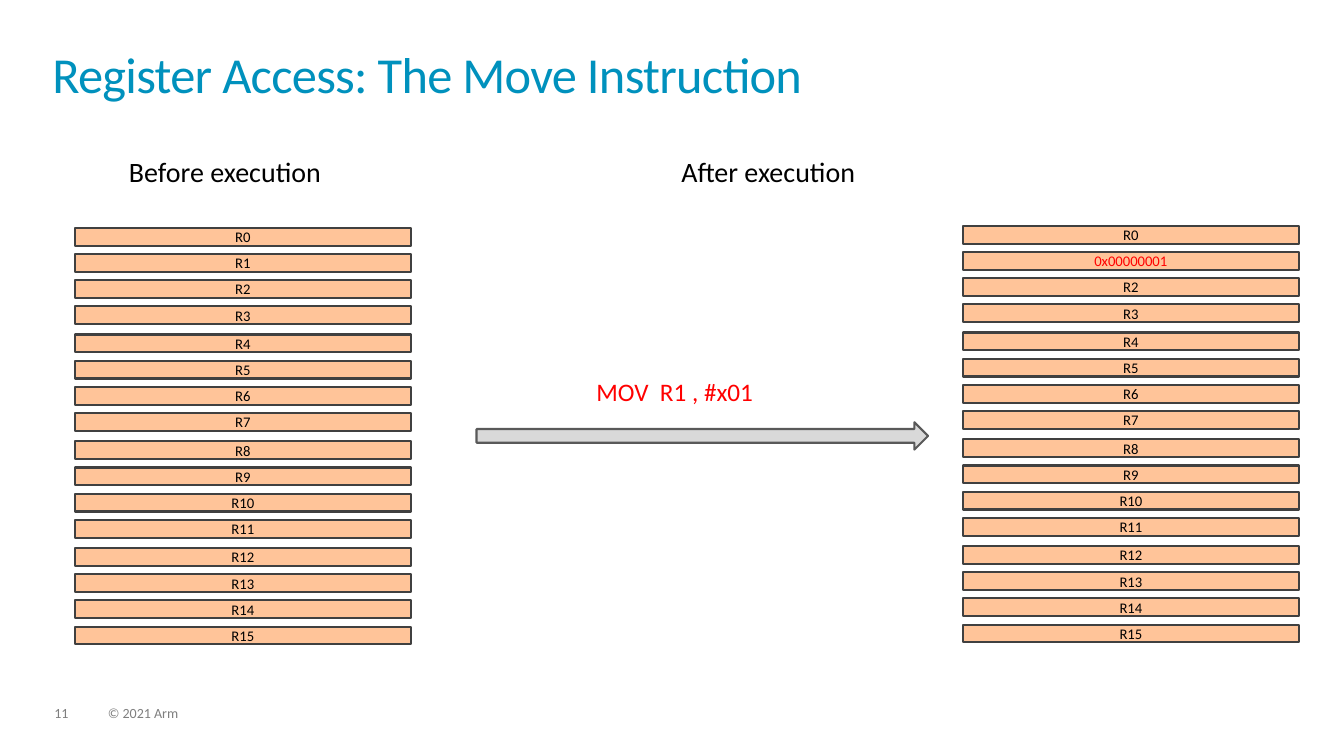
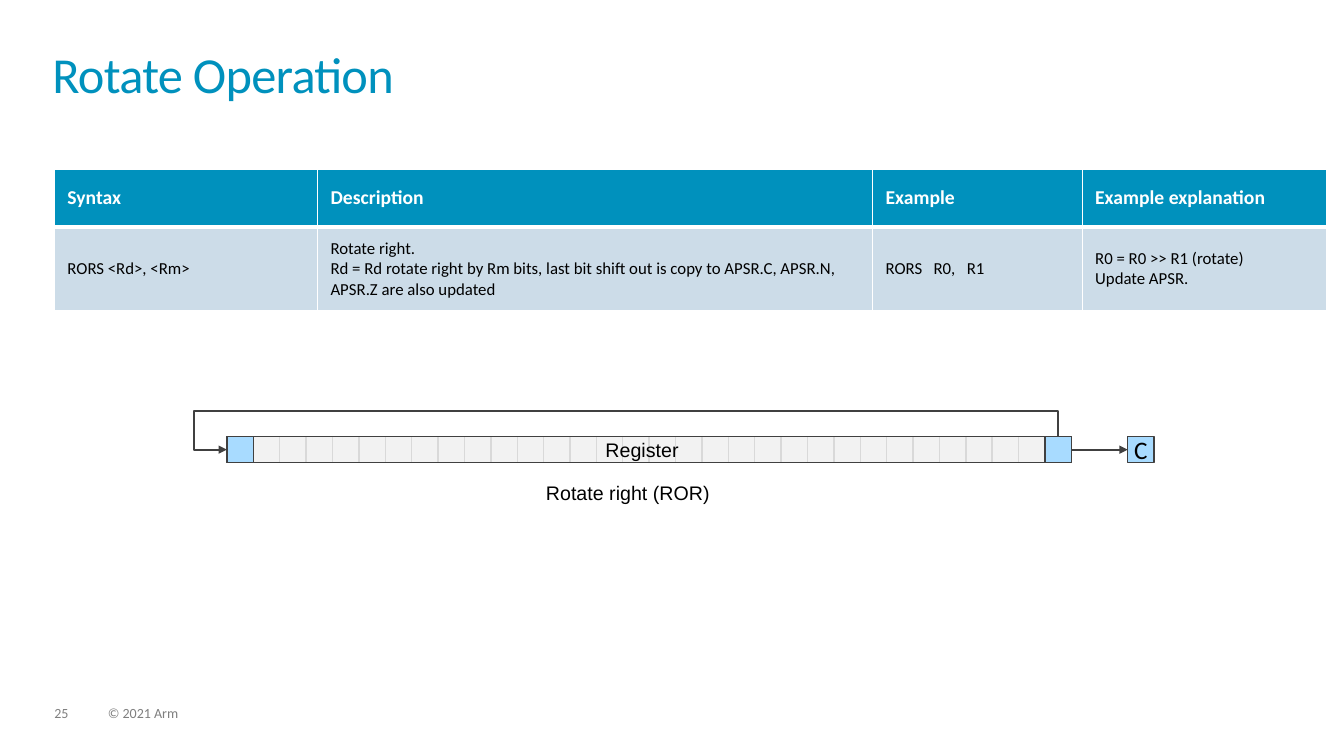
from copy import deepcopy

from lxml.etree import SubElement
from pptx import Presentation
from pptx.dml.color import RGBColor
from pptx.enum.shapes import MSO_CONNECTOR as CONNECTOR, MSO_SHAPE as SHAPE
from pptx.enum.shapes import PP_PLACEHOLDER as PH
from pptx.enum.text import MSO_ANCHOR as ANCHOR, MSO_AUTO_SIZE as AUTO, PP_ALIGN as ALIGN
from pptx.oxml import parse_xml
from pptx.oxml.ns import nsdecls, qn
from pptx.util import Cm, Pt

TEAL, BLACK, WHITE, RED = "0091BD", "000000", "FFFFFF", "FF0000"
DARK, FOOTER_GREY, CELL_LINE, CELL_FILL = "404040", "7F7F7F", "D9D9D9", "F2F2F2"
ORANGE, BLUE, ROW_FILL, ARROW_LINE = "FFC499", "A8DBFF", "CCDCE8", "595959"

COPYRIGHT = "© 2021 Arm"
FOOTERS = {PH.SLIDE_NUMBER: (1.37, 17.81, 0.86, 0.38), PH.FOOTER: (2.72, 17.81, 12.88, 0.38)}
TITLE_BOX = (1.32, 1.32, 31.19, 1.83)

MOVE_TITLE = "Register Access: The Move Instruction"
REGISTERS = [f"R{n}" for n in range(16)]
CHANGED = {1: "0x00000001"}
# heading, heading left, bank left, bank top, changed registers
BANKS = [
    ("Before execution", 3.0, 1.88, 5.74, {}),
    ("After execution", 16.92, 24.26, 5.69, CHANGED),
]
BANK_WIDTH, REGISTER_HEIGHT = 8.48, 0.45
REGISTER_PITCH, GROUP_PITCH, GROUP_SIZE = 0.66, 2.69, 4

ROTATE_TITLE = "Rotate Operation"
TABLE = [
    ["Syntax", "Description", "Example", "Example explanation"],
    [
        "RORS <Rd>, <Rm>",
        "Rotate right.\nRd = Rd rotate right by Rm bits, last bit shift out is copy to "
        "APSR.C, APSR.N, APSR.Z are also updated",
        "RORS   R0,   R1",
        "R0 = R0 >> R1 (rotate)\nUpdate APSR.",
    ],
]
COLUMN_WIDTHS, ROW_HEIGHTS = [6.63, 13.99, 5.28, 6.17], [1.45, 2.11]
BITS, BIT_LEFT, BIT_TOP, REGISTER_WIDTH, BIT_HEIGHT = 32, 5.72, 11.0, 21.28, 0.66
CARRY_LEFT, LOOP_RISE, LOOP_OUT = 28.42, 0.64, 0.84


def rgb(color):
    return RGBColor.from_string(color)


def place(shape, box):
    shape.left, shape.top, shape.width, shape.height = map(Cm, box)


def write(tf, text, size, color, font="Calibri", align=ALIGN.LEFT, bold=False, spacing=None):
    tf.text = text
    for p in tf.paragraphs:
        p.alignment, p.line_spacing = align, spacing
        p.font.size, p.font.name, p.font.bold = Pt(size), font, bold
        p.font.color.rgb = rgb(color)


def clear_frame(tf, anchor=ANCHOR.TOP):
    """Remove the insets and fitting, so text starts at the edge of its box."""
    tf.margin_left = tf.margin_right = tf.margin_top = tf.margin_bottom = 0
    tf.auto_size, tf.vertical_anchor = AUTO.NONE, anchor


def add_label(s, box, text, size, color=BLACK, font="Calibri"):
    tf = s.shapes.add_textbox(*map(Cm, box)).text_frame
    tf.word_wrap = True
    write(tf, text, size, color, font)


def add_box(s, box, fill, line, width=1, preset=SHAPE.RECTANGLE, text="", size=10.5, color=BLACK):
    sp = s.shapes.add_shape(preset, *map(Cm, box))
    sp.shadow.inherit = False
    if fill:
        sp.fill.solid()
        sp.fill.fore_color.rgb = rgb(fill)
    else:
        sp.fill.background()
    sp.line.color.rgb = rgb(line)
    sp.line.width = Pt(width)
    if text:
        clear_frame(sp.text_frame, ANCHOR.MIDDLE)
        sp.text_frame.word_wrap = False
        write(sp.text_frame, text, size, color, align=ALIGN.CENTER)
    return sp


def add_arrow(s, kind, start, end):
    """Connect two (shape, connection site) pairs with an arrow."""
    arrow = s.shapes.add_connector(kind, 0, 0, 0, 0)
    arrow.begin_connect(*start)
    arrow.end_connect(*end)
    arrow.line.color.rgb = rgb(DARK)
    arrow.line.width = Pt(1.5)
    SubElement(arrow.line._get_or_add_ln(), qn("a:tailEnd"), type="triangle")
    SubElement(arrow.element.spPr, qn("a:effectLst"))
    return arrow


def loop_over(arrow, rise, out):
    """Lead an elbow arrow up by rise, back past its end by out, then down into it."""
    across, down = arrow.width, arrow.height
    center_x, center_y = arrow.left + across // 2, arrow.top + down // 2
    arrow.left, arrow.top = center_x - down // 2, center_y - across // 2
    arrow.width, arrow.height = down, across
    xfrm = arrow.element.spPr.find(qn("a:xfrm"))
    for name, value in (("rot", "16200000"), ("flipH", "1"), ("flipV", "1")):
        xfrm.set(name, value)
    geom = arrow.element.spPr.find(qn("a:prstGeom"))
    geom.set("prst", "bentConnector4")
    guides = geom.get_or_add_avLst()
    ratios = (-Cm(rise) / down, 1 + Cm(out) / across)
    for number, ratio in enumerate(ratios, 1):
        SubElement(guides, qn("a:gd"), name=f"adj{number}", fmla=f"val {round(ratio * 100000)}")


def set_borders(cell, **widths):
    tc_pr = cell._tc.get_or_add_tcPr()
    for i, side in enumerate("LRTB"):
        tc_pr.insert(i, parse_xml(
            f'<a:ln{side} {nsdecls("a")} w="{Pt(widths.get(side, 1))}"><a:solidFill>'
            f'<a:srgbClr val="{WHITE}"/></a:solidFill></a:ln{side}>'))


def set_up_layout(prs):
    layout = prs.slide_layouts.get_by_name("Title Only")
    boxes = {PH.TITLE: TITLE_BOX, **FOOTERS}
    for ph in layout.placeholders:
        kind = ph.placeholder_format.type
        if kind in boxes:
            place(ph, boxes[kind])
            clear_frame(ph.text_frame)
    return layout


def add_slide(prs, layout, title, number):
    s = prs.slides.add_slide(layout)
    write(s.shapes.title.text_frame, title, 36, TEAL, spacing=0.85)
    for r in s.shapes.title.text_frame.paragraphs[0].runs:
        r.font._element.set("spc", "-50")
    for ph in layout.placeholders:
        if ph.placeholder_format.type in FOOTERS:
            s.shapes.element.append(deepcopy(ph.element))
    texts = {PH.SLIDE_NUMBER: str(number), PH.FOOTER: COPYRIGHT}
    for ph in s.placeholders:
        kind = ph.placeholder_format.type
        if kind in texts:
            write(ph.text_frame, texts[kind], 10, FOOTER_GREY, spacing=0.9)
    return s


def add_bank(s, left, top, changed):
    for n, name in enumerate(REGISTERS):
        group, row = divmod(n, GROUP_SIZE)
        y = top + group * GROUP_PITCH + row * REGISTER_PITCH
        add_box(s, (left, y, BANK_WIDTH, REGISTER_HEIGHT), ORANGE, DARK, 1.5,
                text=changed.get(n, name), color=RED if n in changed else BLACK)


def add_syntax_table(s):
    box = (1.37, 4.27, sum(COLUMN_WIDTHS), sum(ROW_HEIGHTS))
    table = s.shapes.add_table(len(TABLE), len(TABLE[0]), *map(Cm, box)).table
    table.horz_banding = False
    for column, width in zip(table.columns, COLUMN_WIDTHS):
        column.width = Cm(width)
    for i, (row, height) in enumerate(zip(table.rows, ROW_HEIGHTS)):
        row.height = Cm(height)
        head = i == 0
        for cell, text in zip(row.cells, TABLE[i]):
            cell.margin_left = cell.margin_right = Cm(0.33)
            cell.vertical_anchor = ANCHOR.MIDDLE
            cell.fill.solid()
            cell.fill.fore_color.rgb = rgb(TEAL if head else ROW_FILL)
            write(cell.text_frame, text, 14 if head else 12, WHITE if head else BLACK, bold=head)
            set_borders(cell, **{"B" if head else "T": 3})


def add_rotate_diagram(s):
    bit = REGISTER_WIDTH / BITS

    def bit_box(n):
        return BIT_LEFT + n * bit, BIT_TOP, bit, BIT_HEIGHT

    for n in range(1, BITS - 1):
        add_box(s, bit_box(n), CELL_FILL, CELL_LINE)
    frame = add_box(s, (BIT_LEFT, BIT_TOP, REGISTER_WIDTH, BIT_HEIGHT), None, DARK)
    first, last = (add_box(s, bit_box(n), BLUE, DARK) for n in (0, BITS - 1))
    carry = add_box(s, (CARRY_LEFT, BIT_TOP, bit, BIT_HEIGHT), BLUE, DARK, text="C", size=18)
    add_arrow(s, CONNECTOR.STRAIGHT, (frame, 3), (carry, 1))
    loop_over(add_arrow(s, CONNECTOR.ELBOW, (last, 0), (first, 1)), LOOP_RISE, LOOP_OUT)
    add_label(s, (15.01, 10.9, 3.48, 0.86), "Register", 14, font="Arial")
    add_label(s, (13.51, 11.99, 8.0, 0.86), "Rotate right (ROR)", 14, font="Arial")


def main():
    prs = Presentation()
    prs.slide_width, prs.slide_height = Cm(33.87), Cm(19.05)
    layout = set_up_layout(prs)

    s = add_slide(prs, layout, MOVE_TITLE, 11)
    for heading, heading_left, left, top, changed in BANKS:
        add_label(s, (heading_left, 3.76, 6.5, 1.12), heading, 20)
        add_bank(s, left, top, changed)
    add_box(s, (12.01, 10.64, 11.38, 0.69), CELL_LINE, ARROW_LINE, 1.5, SHAPE.RIGHT_ARROW)
    add_label(s, (14.78, 9.35, 4.75, 1.02), "MOV  R1 , #x01", 18, RED)

    s = add_slide(prs, layout, ROTATE_TITLE, 25)
    add_syntax_table(s)
    add_rotate_diagram(s)
    prs.save("out.pptx")


if __name__ == "__main__":
    main()
